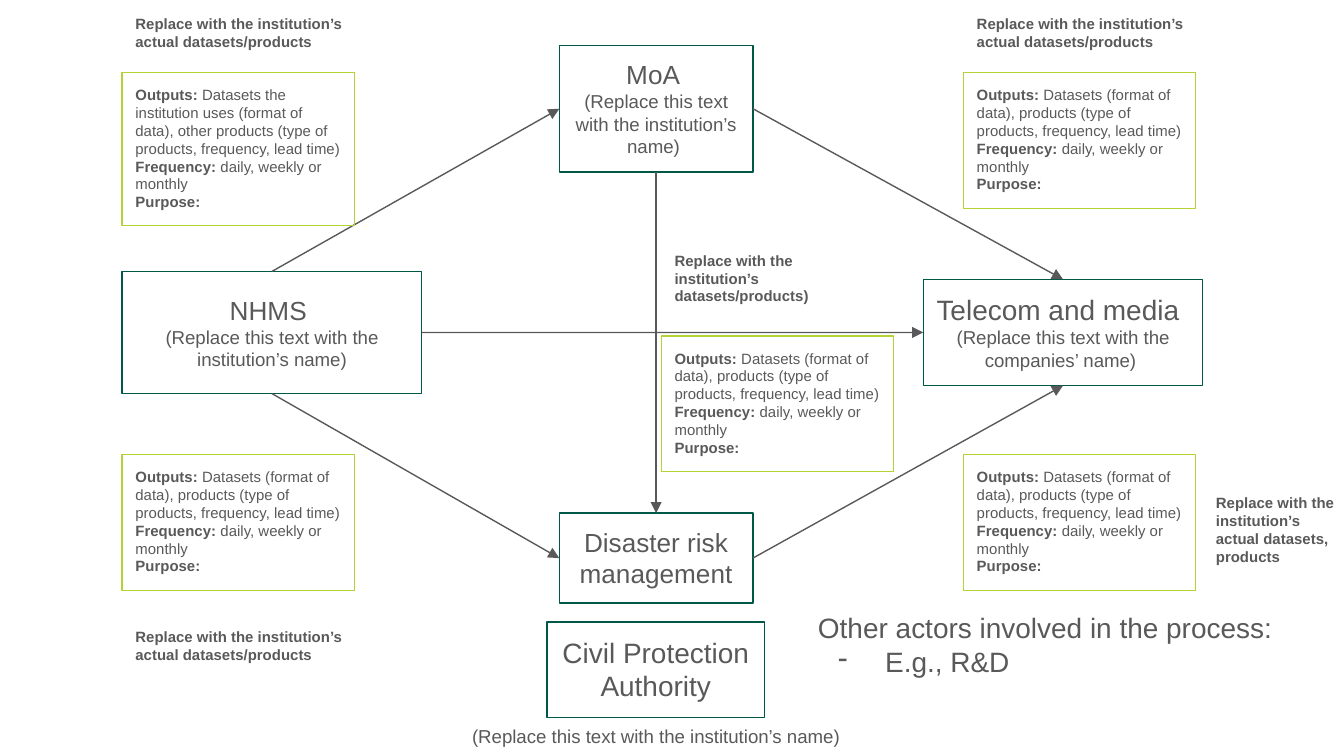
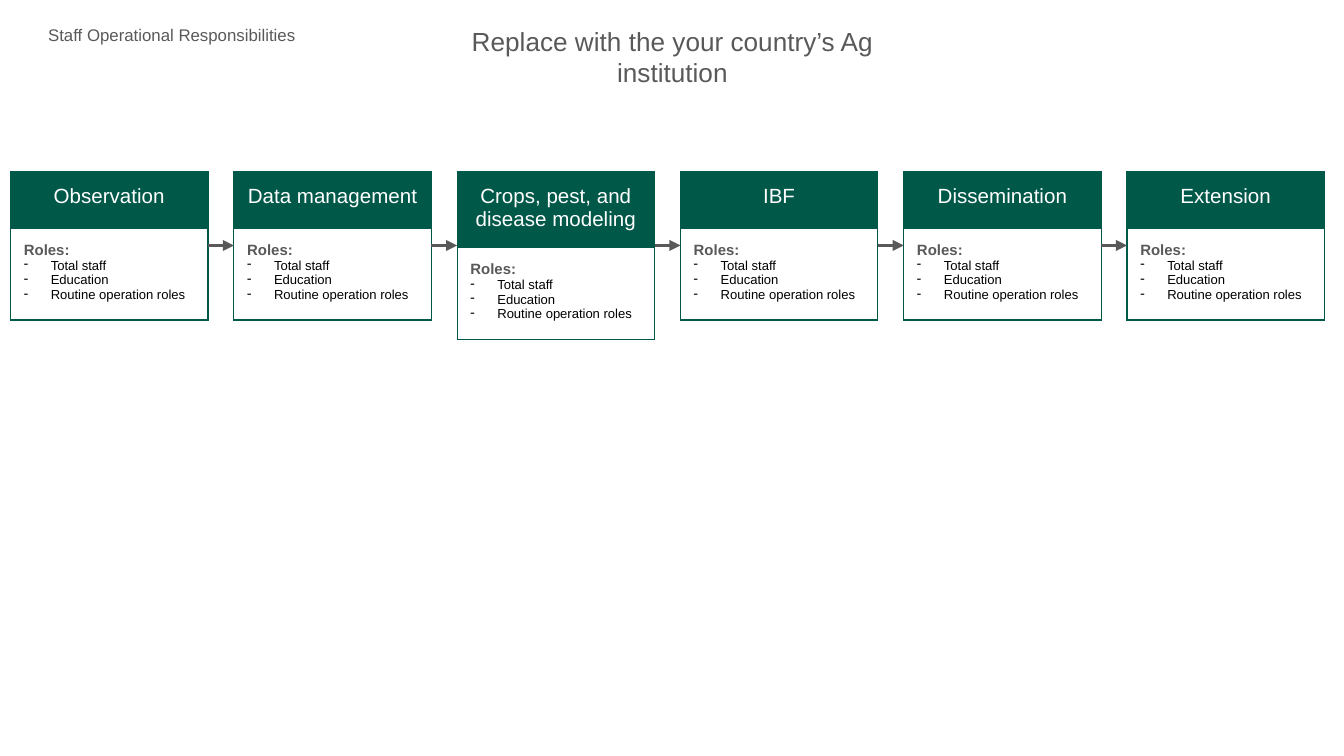
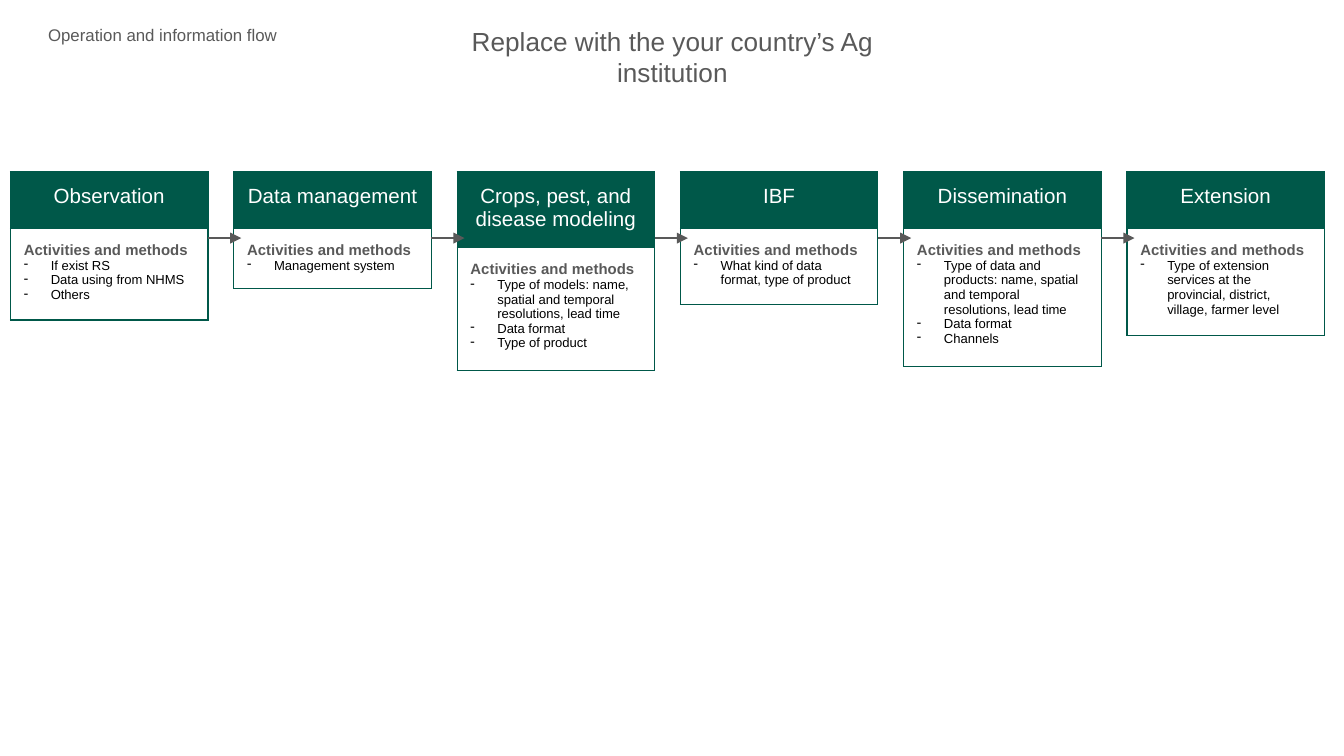
from lxml import etree
from pptx import Presentation
from pptx.dml.color import RGBColor
from pptx.enum import shapes, text
from pptx.oxml import ns
from pptx.util import Cm, Pt

FONT = "Arial"
COLORS = {
    "green": "005849",
    "lime": "B2D235",
    "gray": "595959",
    "white": "FFFFFF",
    "black": "000000",
}
INSET = Cm(0.25)
TOP, LEFT, BOTTOM, RIGHT = range(4)
CENTER = text.PP_ALIGN.CENTER

STAGES = ["Observation", "Data management", "Crops, pest, and disease modeling",
          "IBF", "Dissemination", "Extension"]
STAGE_WIDTH, STAGE_STEP, ROW_HEIGHT = 3.73, 4.22, 1.07
ROLES = ["Total staff", "Education", "Routine operation roles"]
ACTIVITIES = [
    ["If exist RS", "Data using from NHMS", "Others"],
    ["Management system"],
    ["Type of models: name, spatial and temporal resolutions, lead time",
     "Data format", "Type of product"],
    ["What kind of data format, type of product"],
    ["Type of data and products: name, spatial and temporal resolutions, lead time",
     "Data format", "Channels"],
    ["Type of extension services at the provincial, district, village, farmer level"],
]

INSTITUTION_HINT = "(Replace this text with the institution’s name)"
DATASETS_HINT = "Replace with the institution’s actual datasets/products"
OUTPUTS = " Datasets (format of data), products (type of products, frequency, lead time)"
NHMS_OUTPUTS = (" Datasets the institution uses (format of data), other products "
                "(type of products, frequency, lead time)")


def rgb(name):
    return RGBColor.from_string(COLORS[name])


def add_xml(parent, tag, **attributes):
    element = etree.SubElement(parent, ns.qn(tag))
    for name, value in attributes.items():
        element.set(name, str(value))
    return element


def add_color(parent, name):
    add_xml(parent, "a:srgbClr", val=COLORS[name])


def write(frame, words, label="", size=8, color="gray", bold=False, align=None,
          hanging=None):
    """Add a paragraph; label is a bold lead-in, hanging is (margin, indent) in cm."""
    paragraph = frame.paragraphs[0]
    if paragraph.runs:
        paragraph = frame.add_paragraph()
    paragraph.alignment = align
    for content, is_bold in ((label, True), (words, bold)):
        if content:
            run = paragraph.add_run()
            run.text = content
            run.font.name, run.font.size, run.font.bold = FONT, Pt(size), is_bold
            run.font.color.rgb = rgb(color)
    if hanging:
        properties = paragraph._p.get_or_add_pPr()
        properties.set("marL", str(Cm(hanging[0])))
        properties.set("indent", str(Cm(hanging[1])))
        add_color(add_xml(properties, "a:buClr"), color)
        add_xml(properties, "a:buChar", char="-")


def set_frame(frame, grow=True):
    frame.word_wrap = True
    frame.margin_left = frame.margin_right = INSET
    frame.margin_top = frame.margin_bottom = INSET
    if grow:
        frame.auto_size = text.MSO_AUTO_SIZE.SHAPE_TO_FIT_TEXT
    frame.vertical_anchor = text.MSO_ANCHOR.TOP if grow else text.MSO_ANCHOR.MIDDLE
    return frame


def add_text(slide, box, words, **style):
    frame = set_frame(slide.shapes.add_textbox(*map(Cm, box)).text_frame)
    write(frame, words, **style)
    return frame


def add_outline(slide, box, color, grow=True):
    shape = slide.shapes.add_shape(shapes.MSO_SHAPE.RECTANGLE, *map(Cm, box))
    shape.shadow.inherit = False
    shape.fill.background()
    shape.line.color.rgb = rgb(color)
    shape.line.width = Pt(0.75)
    set_frame(shape.text_frame, grow)
    return shape


def add_arrow(slide, start=(0, 0), end=(0, 0), width=0.75):
    arrow = slide.shapes.add_connector(
        shapes.MSO_CONNECTOR.STRAIGHT, *map(Cm, (*start, *end)))
    arrow.line.color.rgb = rgb("gray")
    arrow.line.width = Pt(width)
    add_xml(arrow.line._get_or_add_ln(), "a:tailEnd", type="triangle")
    add_xml(arrow._element.spPr, "a:effectLst")
    return arrow


def join(slide, source, source_side, target, target_side):
    arrow = add_arrow(slide)
    arrow.begin_connect(source, source_side)
    arrow.end_connect(target, target_side)


def add_actor(slide, box, name, hint="", size=14, align=CENTER, grow=True):
    shape = add_outline(slide, box, "green", grow)
    write(shape.text_frame, name, size=size, align=align)
    if hint:
        write(shape.text_frame, hint, size=10, align=CENTER)
    return shape


def add_exchange(slide, box, caption_box, caption=DATASETS_HINT, outputs=OUTPUTS):
    """Card of exchanged data; caption_box starts relative to the card's corner."""
    frame = add_outline(slide, box, "lime").text_frame
    write(frame, outputs, label="Outputs:")
    write(frame, "daily, weekly or monthly", label="Frequency: ")
    write(frame, "", label="Purpose:")
    dx, dy, width, height = caption_box
    add_text(slide, (box[0] + dx, box[1] + dy, width, height), caption, bold=True)


def build_actor_map(slide):
    nhms = add_actor(slide, (2.31, 5.13, 5.66, 2.31), "NHMS ", INSTITUTION_HINT, grow=False)
    moa = add_actor(slide, (10.57, 0.86, 3.66, 2.39), "MoA ", INSTITUTION_HINT + " ")
    disaster = add_actor(slide, (10.57, 9.7, 3.66, 1.7), "Disaster risk management")
    telecom = add_actor(slide, (17.45, 5.28, 5.28, 2.01), "Telecom and media",
                        "(Replace this text with the companies’ name) ",
                        size=15, align=None)
    add_actor(slide, (10.34, 11.76, 4.11, 1.8), "Civil Protection Authority", size=15)
    add_text(slide, (8.23, 13.49, 8.33, 0.94), INSTITUTION_HINT, size=10, align=CENTER)

    for link in ((nhms, TOP, moa, LEFT), (nhms, BOTTOM, disaster, LEFT),
                 (nhms, RIGHT, telecom, LEFT), (moa, RIGHT, telecom, TOP),
                 (moa, BOTTOM, disaster, TOP), (disaster, RIGHT, telecom, BOTTOM)):
        join(slide, *link)

    width, height = 4.39, 2.57
    left, middle, right = 2.31, 12.5, 18.21
    upper, lower = 1.37, 8.59
    above, below = (0, -1.34, 5.08, 1.19), (0, 3.02, 5.08, 1.19)
    add_exchange(slide, (left, upper, width, 2.9), above, outputs=NHMS_OUTPUTS)
    add_exchange(slide, (right, upper, width, height), above)
    add_exchange(slide, (left, lower, width, height), below)
    add_exchange(slide, (middle, 6.35, width, height), (0, -1.85, width, 1.55),
                 "Replace with the institution’s datasets/products)")
    add_exchange(slide, (right, lower, width, height), (4.52, 0.5, 2.95, 1.88),
                 "Replace with the institution’s actual datasets, products")

    others = add_text(slide, (15.21, 11.3, 9.75, 1.8),
                      "Other actors involved in the process:", size=15)
    write(others, "E.g., R&D", size=15, hanging=(1.27, -0.89))


def style_cell(cell, fill=None):
    cell.margin_left = cell.margin_right = INSET
    cell.margin_top = cell.margin_bottom = INSET
    properties = cell._tc.get_or_add_tcPr()
    for side in ("a:lnL", "a:lnR", "a:lnT", "a:lnB"):
        border = add_xml(properties, side, w=Pt(0.75))
        add_color(add_xml(border, "a:solidFill"), "green")
    if fill:
        cell.fill.solid()
        cell.fill.fore_color.rgb = rgb(fill)
    else:
        cell.fill.background()


def add_stage(slide, left, top, name, heading, items):
    table = slide.shapes.add_table(
        2, 1, *map(Cm, (left, top, STAGE_WIDTH, 2 * ROW_HEIGHT))).table
    table.first_row = table.horz_banding = False
    table.columns[0].width = Cm(STAGE_WIDTH)
    for row in table.rows:
        row.height = Cm(ROW_HEIGHT)
    header, body = table.cell(0, 0), table.cell(1, 0)
    style_cell(header, "green")
    style_cell(body)
    write(header.text_frame, name, size=11, color="white", align=CENTER)
    write(body.text_frame, heading, bold=True)
    for item in items:
        write(body.text_frame, item, size=7, color="black", hanging=(0.51, -0.51))


def build_stage_flow(slide, topic, topic_width, heading, item_lists, arrow_y, arrow_length):
    add_text(slide, (8.25, 0.23, 8.92, 1.7),
             "Replace with the your country’s Ag institution", size=14, align=CENTER)
    add_text(slide, (0.66, 0.28, topic_width, 0.89), topic, size=9)
    left, top = 0.2, 3.25
    lefts = [left + index * STAGE_STEP for index in range(len(STAGES))]
    for stage_left, name, items in zip(lefts, STAGES, item_lists):
        add_stage(slide, stage_left, top, name, heading, items)
    for stage_left in lefts[:-1]:
        start = stage_left + STAGE_WIDTH
        y = top + arrow_y
        add_arrow(slide, (start, y), (start + arrow_length, y), width=1.5)


def main():
    presentation = Presentation()
    presentation.slide_width, presentation.slide_height = Cm(25.4), Cm(14.29)
    blank = presentation.slide_layouts[6]
    actor_map, staff, operation = (presentation.slides.add_slide(blank) for _ in range(3))
    build_actor_map(actor_map)
    build_stage_flow(staff, "Staff Operational Responsibilities", 5.31,
                     "Roles:", [ROLES] * len(STAGES), 1.39, 0.49)
    build_stage_flow(operation, "Operation and information flow", 4.88,
                     "Activities and methods", ACTIVITIES, 1.25, 0.63)
    presentation.save("out.pptx")


if __name__ == "__main__":
    main()
